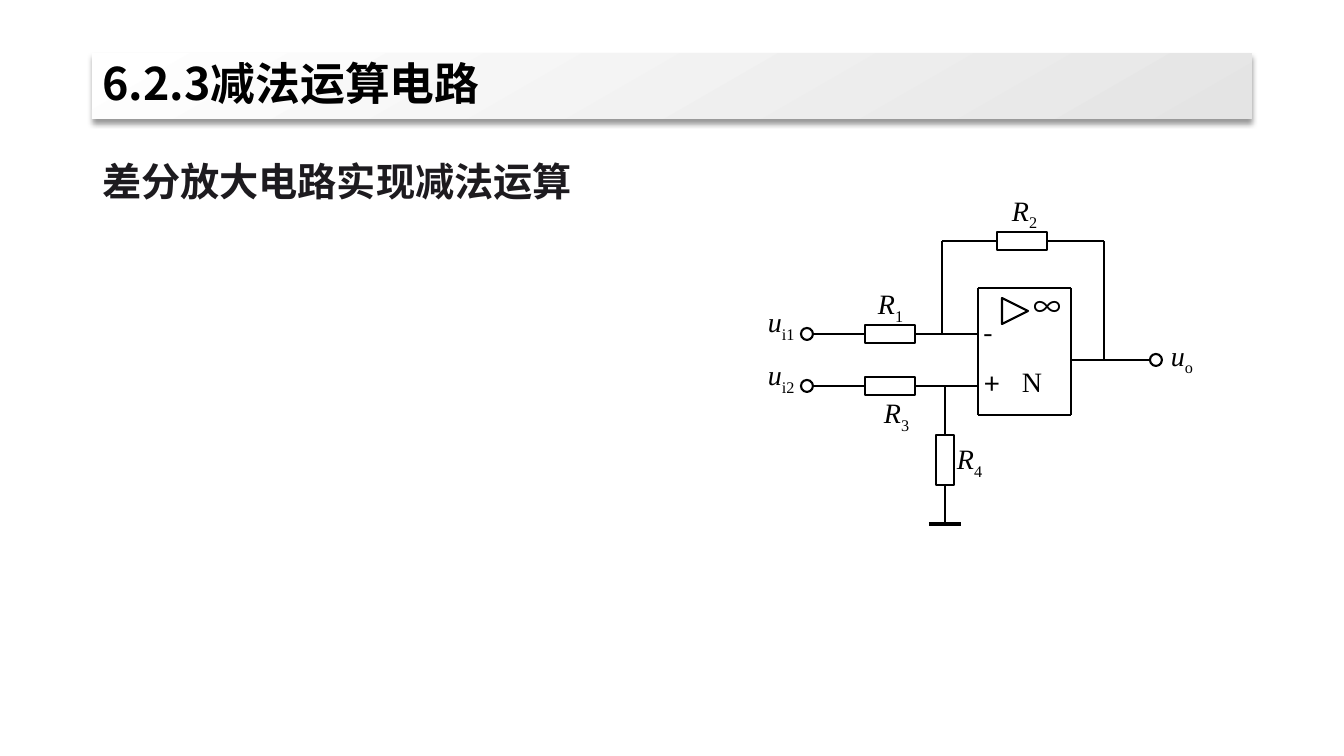
"""Build the slide on the subtracting operational amplifier circuit."""
from lxml.etree import SubElement
from pptx import Presentation
from pptx.dml.color import RGBColor
from pptx.enum.shapes import MSO_CONNECTOR as Connector, MSO_SHAPE as Preset
from pptx.enum.text import MSO_ANCHOR as Anchor, PP_ALIGN as Align
from pptx.oxml.ns import qn
from pptx.util import Pt

PX = 914400 / 100.8
BLACK = RGBColor(0x00, 0x00, 0x00)
WHITE = RGBColor(0xFF, 0xFF, 0xFF)
SILVER = RGBColor(0xE4, 0xE4, 0xE4)
INK = RGBColor(0x1D, 0x1B, 0x1F)
SANS, SERIF = "Noto Sans CJK SC", "Times New Roman"

TITLE = "6.2.3减法运算电路"
BODY = "差分放大电路实现减法运算"
TITLE_BOX = (92, 53, 1160, 66)
BODY_BOX = (92, 129, 1160, 552)
TITLE_FONT = {"size": Pt(32), "bold": True, "name": SANS}
BODY_FONT = {"size": Pt(28), "bold": True, "name": SANS}
LETTER = {"size": Pt(20), "italic": True, "name": SERIF}
UPRIGHT = {"size": Pt(20), "italic": False, "name": SERIF}
SYMBOL = {"size": Pt(20), "name": SANS}

PARTS = {
    "gain": (Preset.ISOSCELES_TRIANGLE, 1002, 298, 26, 26),
    "R1": (Preset.RECTANGLE, 865, 325, 50, 18),
    "R2": (Preset.RECTANGLE, 997, 232, 50, 18),
    "R3": (Preset.RECTANGLE, 865, 377, 50, 18),
    "R4": (Preset.RECTANGLE, 936, 435, 18, 50),
    "input 1": (Preset.OVAL, 801, 328, 12, 12),
    "input 2": (Preset.OVAL, 801, 380, 12, 12),
    "output": (Preset.OVAL, 1150, 354, 12, 12),
}

WIRES = [
    ((813, 334), (865, 334), None, ("R1", 1)),
    ((915, 334), (978, 334), ("R1", 3), None),
    ((813, 386), (865, 386), None, ("R3", 1)),
    ((915, 386), (978, 386), ("R3", 3), None),
    ((942, 241), (942, 334), None, None),
    ((942, 241), (997, 241), None, ("R2", 1)),
    ((1047, 241), (1104, 241), ("R2", 3), None),
    ((1104, 241), (1104, 360), None, None),
    ((1071, 360), (1150, 360), None, None),
    ((945, 386), (945, 435), None, ("R4", 0)),
    ((945, 485), (945, 524), ("R4", 2), None),
]
AMPLIFIER_CORNERS = [(978, 288), (1071, 288), (1071, 415), (978, 415)]
GROUND = ((929, 524), (961, 524))

LABELS = [
    ("u", "i1", LETTER, (768, 305, 45, 50)),
    ("u", "i2", LETTER, (768, 358, 45, 50)),
    ("u", "o", LETTER, (1171, 339, 38, 50)),
    ("R", "1", LETTER, (878, 287, 35, 42)),
    ("R", "2", LETTER, (1012, 194, 73, 50)),
    ("R", "3", LETTER, (884, 396, 35, 42)),
    ("R", "4", LETTER, (957, 442, 41, 50)),
    ("N", "", UPRIGHT, (1022, 364, 40, 44)),
    ("∞", "", SYMBOL, (1034, 289, 29, 31)),
    ("-", "", SYMBOL, (984, 315, 26, 31)),
    ("+", "", SYMBOL, (985, 366, 25, 34)),
]


def scaled(*lengths):
    return [round(length * PX) for length in lengths]


def place(shape, box):
    shape.left, shape.top, shape.width, shape.height = scaled(*box)


def add_run(paragraph, text, values, color):
    run = paragraph.add_run()
    run.text = text
    for name, value in values.items():
        setattr(run.font, name, value)
    run.font.color.rgb = color
    SubElement(run._r.get_or_add_rPr(), qn("a:ea"), typeface=values["name"])
    return run


def fill_title(title):
    place(title, TITLE_BOX)
    title.fill.gradient()
    title.fill.gradient_angle = 300
    for stop, position, color in zip(title.fill.gradient_stops, (0, 1), (WHITE, SILVER)):
        stop.position = position
        stop.color.rgb = color
    effects = SubElement(title._element.spPr, qn("a:effectLst"))
    shadow = SubElement(effects, qn("a:outerShdw"), blurRad=str(Pt(4)), dist=str(Pt(3)),
                        dir="5400000", algn="t", rotWithShape="0")
    shade = SubElement(shadow, qn("a:srgbClr"), val=str(BLACK))
    SubElement(shade, qn("a:alpha"), val="40000")
    title.text_frame.vertical_anchor = Anchor.MIDDLE
    paragraph = title.text_frame.paragraphs[0]
    paragraph.alignment = Align.LEFT
    paragraph.line_spacing = 0.9
    add_run(paragraph, TITLE, TITLE_FONT, BLACK)


def fill_body(body):
    place(body, BODY_BOX)
    paragraph = body.text_frame.paragraphs[0]
    properties = paragraph._p.get_or_add_pPr()
    properties.set("marL", "0")
    properties.set("indent", "0")
    SubElement(properties, qn("a:buNone"))
    paragraph.line_spacing = 1.5
    paragraph.space_before = Pt(0)
    add_run(paragraph, BODY, BODY_FONT, INK)


def add_part(shapes, preset, *box):
    part = shapes.add_shape(preset, *scaled(*box))
    part.shadow.inherit = False
    part.fill.solid()
    part.fill.fore_color.rgb = WHITE
    part.line.color.rgb = BLACK
    part.line.width = Pt(1.5)
    return part


def add_wire(shapes, start, end, width=1.5):
    wire = shapes.add_connector(Connector.STRAIGHT, *scaled(*start, *end))
    wire.line.color.rgb = BLACK
    wire.line.width = Pt(width)
    SubElement(wire._element.spPr, qn("a:effectLst"))
    return wire


def add_label(shapes, text, subscript, values, box):
    frame = shapes.add_textbox(*scaled(*box)).text_frame
    frame.word_wrap = True
    for side in ("left", "top", "right", "bottom"):
        setattr(frame, f"margin_{side}", 0)
    paragraph = frame.paragraphs[0]
    paragraph.alignment = Align.JUSTIFY
    add_run(paragraph, text, values, BLACK)
    if subscript:
        run = add_run(paragraph, subscript, UPRIGHT, BLACK)
        run._r.get_or_add_rPr().set("baseline", "-25000")


def draw_circuit(shapes):
    parts = {name: add_part(shapes, *part) for name, part in PARTS.items()}
    parts["gain"].rotation = 90
    for start, end, start_joint, end_joint in WIRES:
        wire = add_wire(shapes, start, end)
        if start_joint:
            wire.begin_connect(parts[start_joint[0]], start_joint[1])
        if end_joint:
            wire.end_connect(parts[end_joint[0]], end_joint[1])
    for start, end in zip(AMPLIFIER_CORNERS, AMPLIFIER_CORNERS[1:] + AMPLIFIER_CORNERS[:1]):
        add_wire(shapes, start, end)
    add_wire(shapes, *GROUND, width=2.5)
    for label in LABELS:
        add_label(shapes, *label)


def main():
    presentation = Presentation()
    presentation.slide_width, presentation.slide_height = scaled(1344, 756)
    slide = presentation.slides.add_slide(presentation.slide_layouts[1])
    fill_title(slide.shapes.title)
    fill_body(slide.placeholders[1])
    draw_circuit(slide.shapes)
    presentation.save("out.pptx")


if __name__ == "__main__":
    main()
